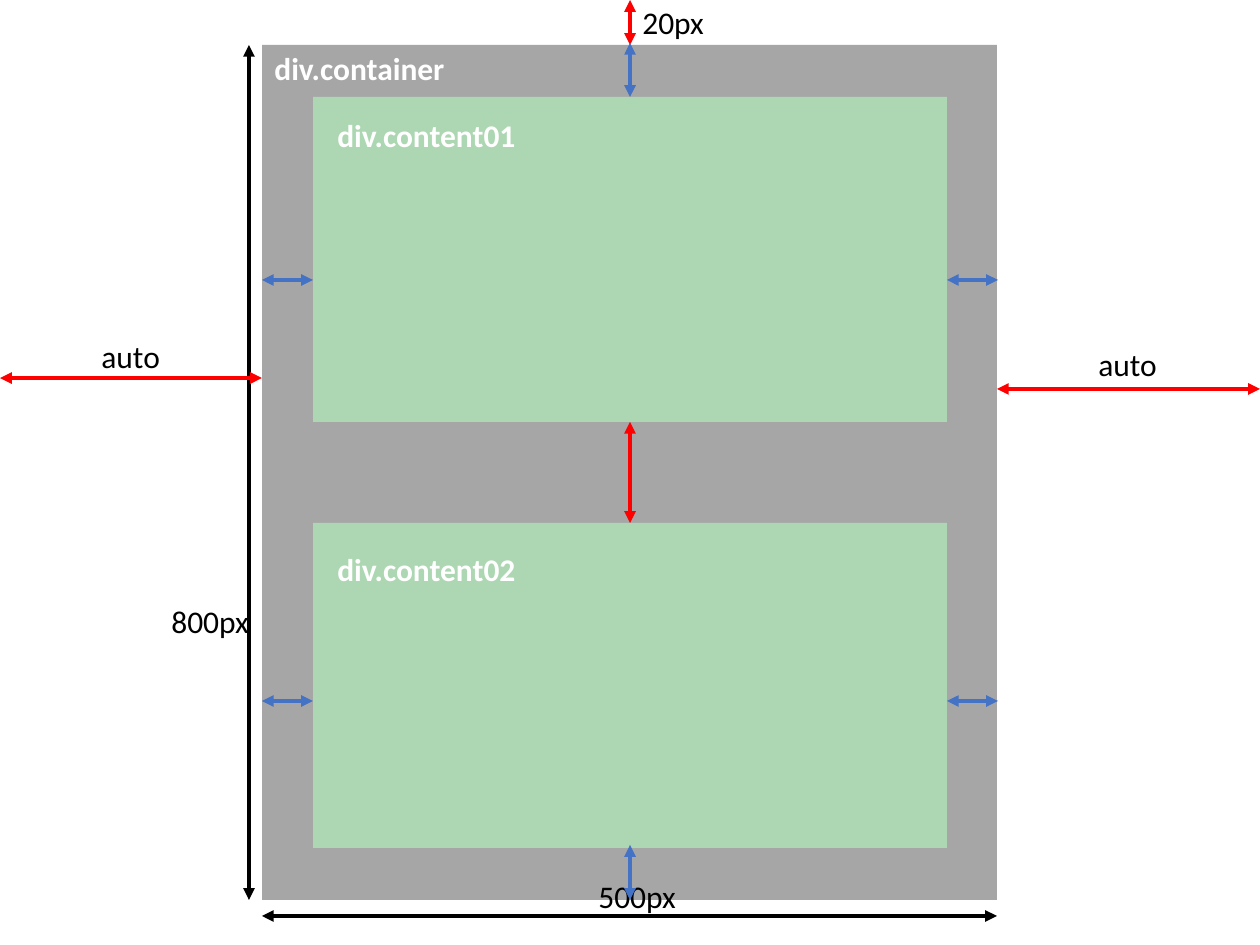
from collections import namedtuple

from lxml.etree import SubElement
from pptx import Presentation
from pptx.dml.color import RGBColor
from pptx.enum.shapes import MSO_CONNECTOR, MSO_SHAPE
from pptx.enum.text import MSO_AUTO_SIZE
from pptx.oxml.ns import qn
from pptx.util import Emu, Pt

BLACK = RGBColor(0x00, 0x00, 0x00)
WHITE = RGBColor(0xFF, 0xFF, 0xFF)
GRAY = RGBColor(0xA6, 0xA6, 0xA6)
GREEN = RGBColor(0xAD, 0xD7, 0xB2)
RED = RGBColor(0xFF, 0x00, 0x00)
BLUE = RGBColor(0x44, 0x72, 0xC4)

PIXELS_PER_INCH = 126
SLIDE_WIDTH, SLIDE_HEIGHT = 1260, 945
PADDING = 51
CONTENT_HEIGHT = 325
LABEL_HEIGHT = 50

Box = namedtuple("Box", "left top width height")


def px(length):
    return Emu(round(length * 914400 / PIXELS_PER_INCH))


def add_block(slide, box, color):
    shape = slide.shapes.add_shape(MSO_SHAPE.RECTANGLE, *map(px, box))
    shape.shadow.inherit = False
    shape.fill.solid()
    shape.fill.fore_color.rgb = color
    shape.line.fill.background()


def add_label(slide, left, top, width, text, color=BLACK, bold=False):
    shape = slide.shapes.add_textbox(px(left), px(top), px(width), px(LABEL_HEIGHT))
    frame = shape.text_frame
    frame.word_wrap = False
    frame.auto_size = MSO_AUTO_SIZE.SHAPE_TO_FIT_TEXT
    run = frame.paragraphs[0].add_run()
    run.text = text
    run.font.name = "Calibri"
    run.font.size = Pt(18)
    run.font.bold = bold
    run.font.color.rgb = color


def add_arrow(slide, start_x, start_y, end_x, end_y, color):
    connector = slide.shapes.add_connector(
        MSO_CONNECTOR.STRAIGHT, px(start_x), px(start_y), px(end_x), px(end_y)
    )
    connector.line.color.rgb = color
    connector.line.width = Pt(2.25)
    line = connector.line._get_or_add_ln()
    for end in ("a:headEnd", "a:tailEnd"):
        SubElement(line, qn(end), type="triangle")
    SubElement(connector._element.spPr, qn("a:effectLst"))


def add_container(slide, box):
    add_block(slide, box, GRAY)
    add_label(slide, box.left, box.top - 2, 197, "div.container", WHITE, True)


def add_dimensions(slide, box):
    right, bottom = box.left + box.width, box.top + box.height
    add_arrow(slide, box.left - 13, box.top, box.left - 13, bottom, BLACK)
    add_arrow(slide, right, bottom + 16, box.left, bottom + 16, BLACK)
    add_label(slide, box.left + 324, bottom - 29, 103, "500px")
    add_label(slide, box.left - 103, box.top + 551, 103, "800px")


def add_margins(slide, box):
    right = box.left + box.width
    center = box.left + box.width // 2 + 1
    add_arrow(slide, 0, box.top + 333, box.left, box.top + 333, RED)
    add_label(slide, 89, box.top + 286, 84, "auto")
    add_arrow(slide, right, box.top + 344, SLIDE_WIDTH, box.top + 344, RED)
    add_label(slide, right + 89, box.top + 294, 84, "auto")
    add_arrow(slide, center, 0, center, box.top, RED)
    add_label(slide, center, -3, 87, "20px")


def add_content(slide, box, text, label_offset, arrow_offset):
    add_block(slide, box, GREEN)
    add_label(slide, box.left + 12, box.top + label_offset, 204, text, WHITE, True)
    arrow_y = box.top + arrow_offset
    for edge in (box.left - PADDING, box.left + box.width):
        add_arrow(slide, edge, arrow_y, edge + PADDING, arrow_y, BLUE)


def add_vertical_gaps(slide, container, first, second):
    center = container.left + container.width // 2 + 1
    first_bottom = first.top + first.height
    container_bottom = container.top + container.height
    add_arrow(slide, center, first_bottom, center, second.top, RED)
    add_arrow(slide, center, first.top, center, container.top - 2, BLUE)
    add_arrow(slide, center, container_bottom, center, container_bottom - 55, BLUE)


def main():
    presentation = Presentation()
    presentation.slide_width = px(SLIDE_WIDTH)
    presentation.slide_height = px(SLIDE_HEIGHT)
    slide = presentation.slides.add_slide(presentation.slide_layouts[6])

    container = Box(262, 45, 735, 855)
    content_left = container.left + PADDING
    content_width = container.width - 2 * PADDING + 1
    first_top = container.top + PADDING + 1
    second_top = container.top + container.height - PADDING - CONTENT_HEIGHT - 1
    first = Box(content_left, first_top, content_width, CONTENT_HEIGHT)
    second = first._replace(top=second_top)

    add_container(slide, container)
    add_dimensions(slide, container)
    add_margins(slide, container)
    add_content(slide, first, "div.content01", 13, 183)
    add_content(slide, second, "div.content02", 21, 178)
    add_vertical_gaps(slide, container, first, second)
    presentation.save("out.pptx")


if __name__ == "__main__":
    main()
